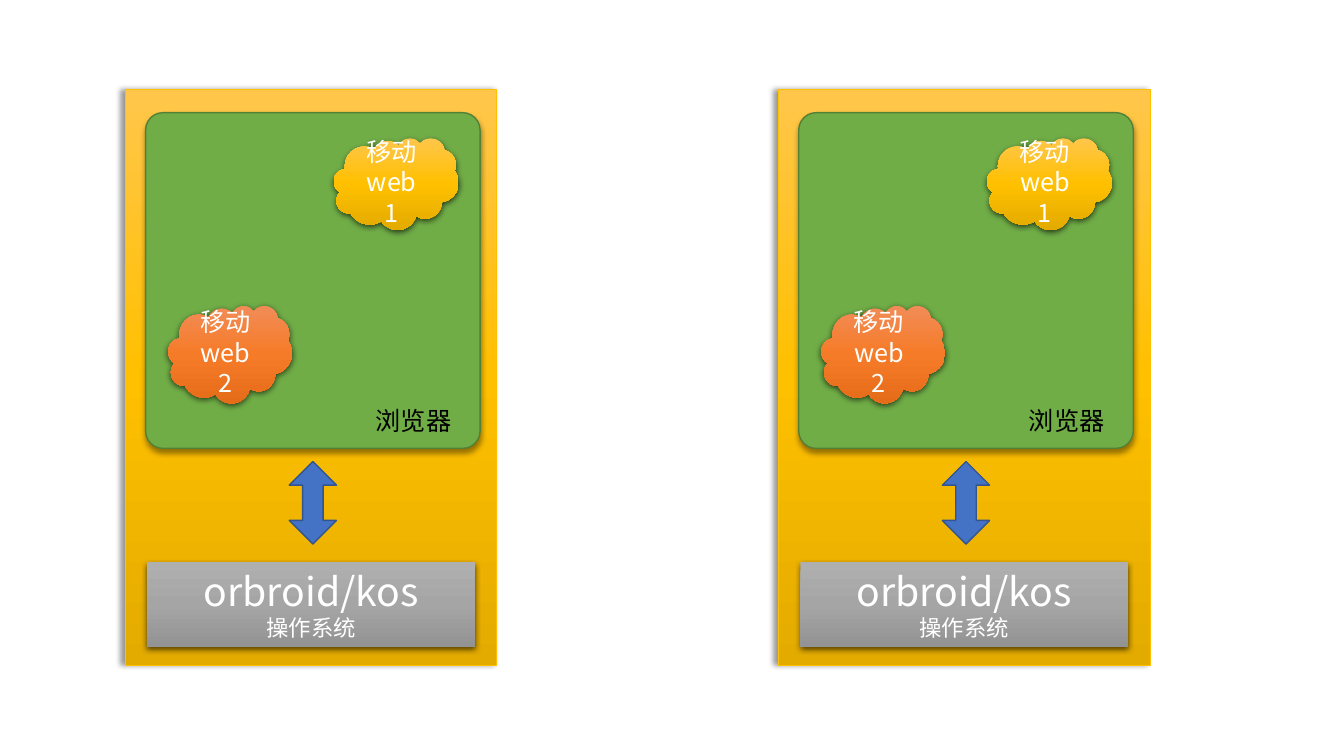
from dataclasses import dataclass
from typing import Optional

from lxml.etree import SubElement
from pptx import Presentation
from pptx.dml.color import RGBColor
from pptx.enum.shapes import MSO_SHAPE as Shape
from pptx.enum.text import MSO_ANCHOR as Anchor, MSO_AUTO_SIZE as AutoSize, PP_ALIGN as Align
from pptx.oxml.ns import qn
from pptx.util import Cm, Pt

FONT = "Noto Sans CJK SC"
GOLD = ("FFC64B", "FFC000", "E3AB00")
ORANGE = ("F18C57", "F67B28", "E56C19")
GREY = ("AFAFAF", "A5A5A5", "939393")
PHONE_LEFTS = (3.15, 19.61)


@dataclass(frozen=True)
class Shadow:
    opacity: int
    blur: float
    dist: float
    angle: int


@dataclass(frozen=True)
class Part:
    """A shape of the phone; left is measured from the phone's left edge."""
    kind: Shape
    left: float
    top: float
    width: float
    height: float
    fill: tuple[str, ...]
    line: Optional[tuple[str, float]] = None
    shadow: Optional[Shadow] = None
    adjust: tuple[float, ...] = ()
    texts: tuple[tuple[str, int], ...] = ()
    anchor: Anchor = Anchor.MIDDLE
    grow: bool = False


SOFT = Shadow(63, 4.5, 1.5, 90)
PARTS = (
    # Phone body
    Part(Shape.RECTANGLE, 0, 2.26, 9.37, 14.5, GOLD, ("FFC000", 0.5), Shadow(40, 4, 3, 180)),
    # Operating system
    Part(Shape.RECTANGLE, 0.56, 14.17, 8.26, 2.13, GREY, shadow=SOFT,
         texts=(("orbroid/kos", 28), ("操作系统", 16)), anchor=Anchor.TOP, grow=True),
    # Browser
    Part(Shape.ROUNDED_RECTANGLE, 0.52, 2.84, 8.43, 8.46, ("70AD47",), ("538035", 1),
         Shadow(40, 4, 3, 90), (0.052,)),
    # Web apps
    Part(Shape.CLOUD, 5.26, 3.48, 3.15, 2.31, GOLD, shadow=SOFT, texts=(("移动web1", 18),)),
    Part(Shape.CLOUD, 1.09, 7.7, 3.12, 2.46, ORANGE, shadow=SOFT, texts=(("移动web2", 18),)),
    # Link between browser and operating system
    Part(Shape.UP_DOWN_ARROW, 4.14, 11.63, 1.19, 2.08, ("4472C4",), ("325491", 1),
         adjust=(0.5, 0.435)),
)


def rgb(value: str) -> RGBColor:
    return RGBColor.from_string(value)


def add_run(p, text: str, size: int, color: str) -> None:
    r = p.add_run()
    r.text = text
    r.font.size = Pt(size)
    r.font.name = FONT
    r.font.color.rgb = rgb(color)
    SubElement(r.font._element, qn("a:ea"), typeface=FONT)


def set_fill(sp, colors: tuple[str, ...]) -> None:
    if len(colors) == 1:
        sp.fill.solid()
        sp.fill.fore_color.rgb = rgb(colors[0])
        return
    sp.fill.gradient()
    sp.fill.gradient_angle = 270
    stops = sp._element.spPr.find(qn("a:gradFill")).find(qn("a:gsLst"))
    for gs in list(stops):
        stops.remove(gs)
    for i, color in enumerate(colors):
        gs = SubElement(stops, qn("a:gs"), pos=str(100000 * i // (len(colors) - 1)))
        SubElement(gs, qn("a:srgbClr"), val=color)


def set_shadow(sp, shadow: Optional[Shadow]) -> None:
    sp.shadow.inherit = False
    if shadow is None:
        return
    effects = sp._element.spPr.find(qn("a:effectLst"))
    outer = SubElement(effects, qn("a:outerShdw"), blurRad=str(Pt(shadow.blur)),
                       dist=str(Pt(shadow.dist)), dir=str(shadow.angle * 60000),
                       algn="ctr", rotWithShape="0")
    color = SubElement(outer, qn("a:srgbClr"), val="000000")
    SubElement(color, qn("a:alpha"), val=str(shadow.opacity * 1000))


def add_part(s, part: Part, phone_left: float) -> None:
    sp = s.shapes.add_shape(part.kind, Cm(phone_left + part.left), Cm(part.top),
                            Cm(part.width), Cm(part.height))
    for i, value in enumerate(part.adjust):
        sp.adjustments[i] = value
    set_fill(sp, part.fill)
    if part.line:
        color, width = part.line
        sp.line.color.rgb = rgb(color)
        sp.line.width = Pt(width)
    else:
        sp.line.fill.background()
    set_shadow(sp, part.shadow)
    tf = sp.text_frame
    tf.vertical_anchor = part.anchor
    if part.grow:
        tf.auto_size = AutoSize.SHAPE_TO_FIT_TEXT
    for i, (text, size) in enumerate(part.texts):
        p = tf.add_paragraph() if i else tf.paragraphs[0]
        p.alignment = Align.CENTER
        add_run(p, text, size, "FFFFFF")


def add_browser_label(s, phone_left: float) -> None:
    tf = s.shapes.add_textbox(Cm(phone_left + 6.07), Cm(10.08), Cm(2.44), Cm(1.02)).text_frame
    tf.word_wrap = False
    tf.auto_size = AutoSize.SHAPE_TO_FIT_TEXT
    add_run(tf.paragraphs[0], "浏览器", 18, "000000")


def main() -> None:
    prs = Presentation()
    prs.slide_width, prs.slide_height = Cm(33.87), Cm(19.05)
    s = prs.slides.add_slide(prs.slide_layouts[6])
    for phone_left in PHONE_LEFTS:
        for part in PARTS:
            add_part(s, part, phone_left)
        add_browser_label(s, phone_left)
    prs.save("out.pptx")


if __name__ == "__main__":
    main()
